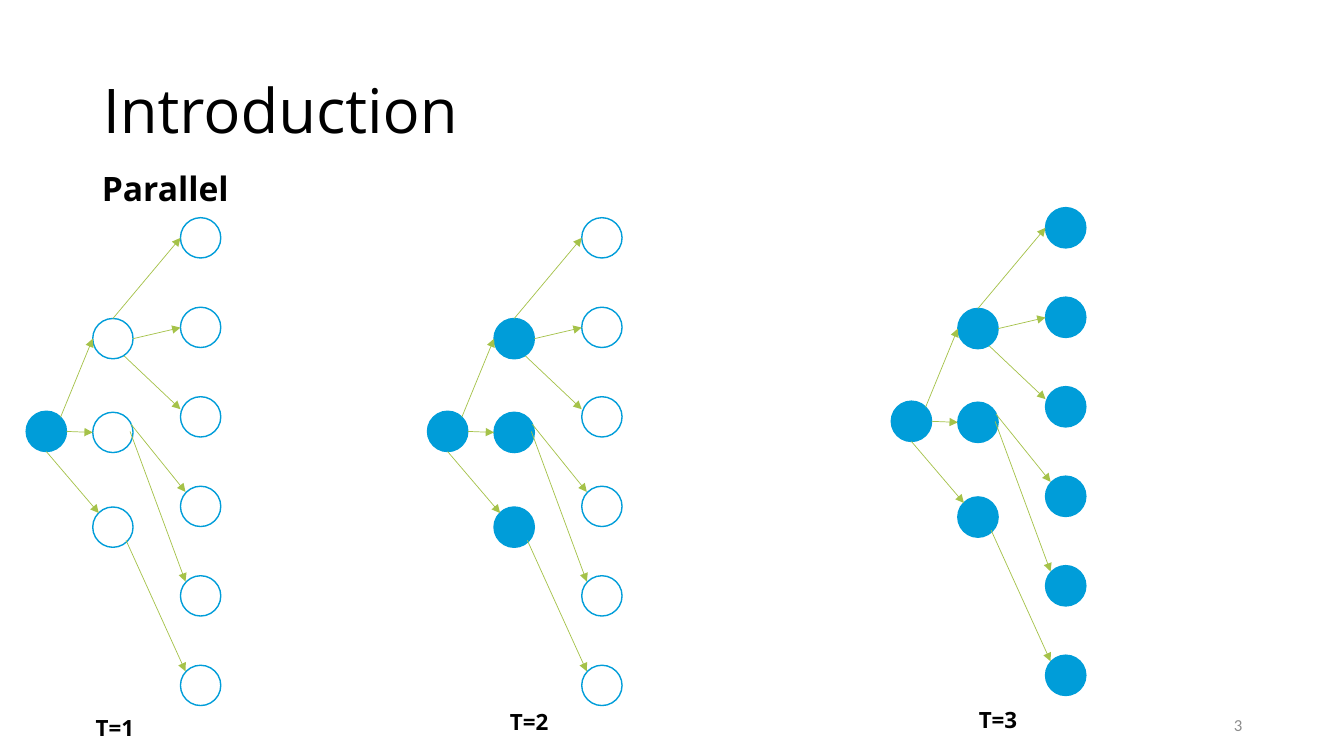
from lxml import etree
from pptx import Presentation
from pptx.dml.color import RGBColor
from pptx.enum.shapes import MSO_CONNECTOR, MSO_SHAPE
from pptx.enum.text import MSO_ANCHOR, PP_ALIGN
from pptx.oxml.ns import qn
from pptx.util import Inches, Pt

OVAL = MSO_SHAPE.OVAL
STRAIGHT = MSO_CONNECTOR.STRAIGHT
MIDDLE, BOTTOM = MSO_ANCHOR.MIDDLE, MSO_ANCHOR.BOTTOM
LEFT, RIGHT = PP_ALIGN.LEFT, PP_ALIGN.RIGHT

BLACK = RGBColor(0x00, 0x00, 0x00)
WHITE = RGBColor(0xFF, 0xFF, 0xFF)
GRAY = RGBColor(0x8C, 0x8C, 0x8C)
BLUE = RGBColor(0x00, 0x9D, 0xD9)
GREEN = RGBColor(0xA5, 0xC2, 0x49)

NODE_SIZE = 0.4

# Offsets from the top left of the root node: one list of nodes per level
LEVELS = [
    [(0, 0)],
    [(0.66, -0.92), (0.66, 0.01), (0.66, 0.95)],
    [(1.53, -1.92 + 0.888 * row) for row in range(6)],
]
# Start x, y and end x, y from the same point
ARROWS = [
    (0.34, 0.06, 0.66, -0.72),
    (0.4, 0.2, 0.66, 0.21),
    (0.2, 0.4, 0.72, 1.01),
    (0.86, -0.92, 1.53, -1.72),
    (1.06, -0.72, 1.53, -0.83),
    (0.97, -0.55, 1.53, -0.02),
    (1.04, 0.13, 1.58, 0.8),
    (1.03, 0.2, 1.58, 1.69),
    (0.99, 1.28, 1.58, 2.58),
]
# Root left and top, label, label left and top; each step fills one more level
STEPS = [
    (0.26, 4.08, "T=1", 0.85, 6.5),
    (4.24, 4.08, "T=2", 4.96, 6.44),
    (8.84, 3.98, "T=3", 9.61, 6.42),
]


def write(box, text, place, size, anchor, font="Open Sans", color=BLACK,
          bold=False, align=LEFT, before=0):
    """Place a text box or placeholder and fill it with one formatted run."""
    box.left, box.top, box.width, box.height = [Inches(v) for v in place]
    frame = box.text_frame
    frame.word_wrap = True
    frame.vertical_anchor = anchor
    paragraph = frame.paragraphs[0]
    paragraph.alignment = align
    paragraph.line_spacing = 0.9
    paragraph.space_before = Pt(before)
    run = paragraph.add_run()
    run.text = text
    run.font.name = font
    run.font.size = Pt(size)
    run.font.bold = bold
    run.font.color.rgb = color


def add_arrow(shapes, start_x, start_y, end_x, end_y):
    arrow = shapes.add_connector(STRAIGHT, Inches(start_x), Inches(start_y),
                                 Inches(end_x), Inches(end_y))
    arrow.line.color.rgb = GREEN
    arrow.line.width = Pt(0.5)
    etree.SubElement(arrow.line._get_or_add_ln(), qn("a:tailEnd"), type="triangle")
    etree.SubElement(arrow._element.spPr, qn("a:effectLst"))


prs = Presentation()
prs.slide_width = Inches(13.33)
prs.slide_height = Inches(7.5)
slide = prs.slides.add_slide(prs.slide_layouts.get_by_name("Comparison"))
shapes = slide.shapes

# Heading
subtitle = slide.placeholders[1]
for placeholder in list(slide.placeholders):
    if placeholder.placeholder_format.idx > 1:
        placeholder._element.getparent().remove(placeholder._element)
write(shapes.title, "Introduction", (0.92, 0.4, 11.5, 1.45), 44, MIDDLE)
write(subtitle, "Parallel", (0.91, 1.22, 5.64, 0.9), 24, BOTTOM,
      bold=True, before=10)

# One tree per time step
for step, (root_x, root_y, label, label_x, label_y) in enumerate(STEPS):
    for depth, level in enumerate(LEVELS):
        for dx, dy in level:
            node = shapes.add_shape(OVAL, Inches(root_x + dx), Inches(root_y + dy),
                                    Inches(NODE_SIZE), Inches(NODE_SIZE))
            node.shadow.inherit = False
            node.fill.solid()
            node.fill.fore_color.rgb = BLUE if depth <= step else WHITE
            node.line.color.rgb = BLUE
            node.line.width = Pt(1)
    for x1, y1, x2, y2 in ARROWS:
        add_arrow(shapes, root_x + x1, root_y + y1, root_x + x2, root_y + y2)
    write(shapes.add_textbox(0, 0, 0, 0), label, (label_x, label_y, 3.6, 0.9), 16,
          BOTTOM, bold=True, before=10)

# Page number
write(shapes.add_textbox(0, 0, 0, 0), "3", (9.42, 7, 3, 0.4), 12, MIDDLE,
      font="Calibri", color=GRAY, align=RIGHT)

prs.save("out.pptx")
